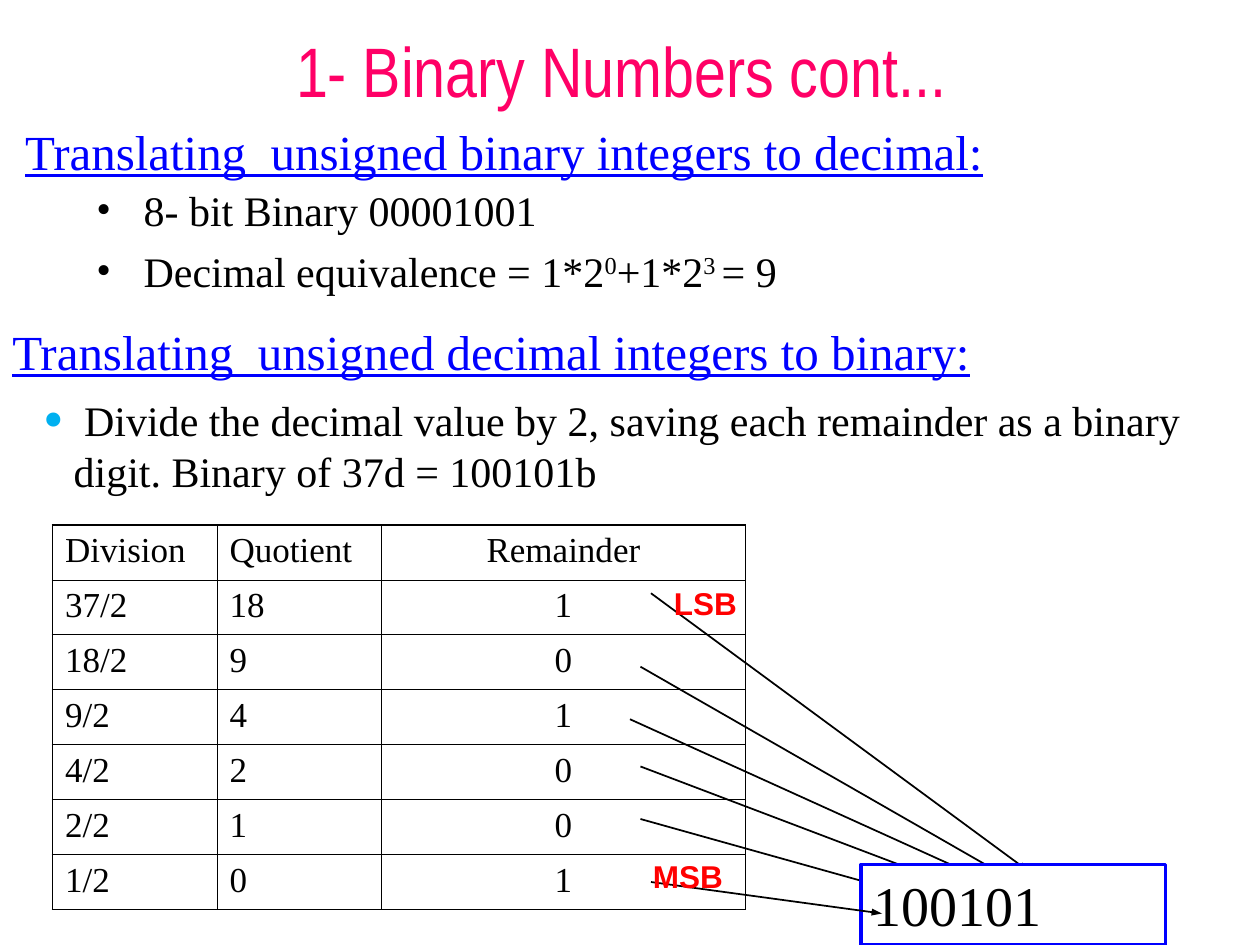
from lxml import etree
from pptx import Presentation
from pptx import util as u
from pptx.dml.color import RGBColor
from pptx.enum import shapes, text
from pptx.oxml.ns import qn

SERIF = "Times New Roman"
BLACK, BLUE, RED, WHITE = "000000", "0000FF", "FF0000", "FFFFFF"
ROWS = [
    ("Division", "Quotient", "Remainder"),
    ("37/2", "18", "1"),
    ("18/2", "9", "0"),
    ("9/2", "4", "1"),
    ("4/2", "2", "0"),
    ("2/2", "1", "0"),
    ("1/2", "0", "1"),
]
REMAINDER_LINES = [
    (366, 381, 570, 498),
    (372, 339, 588, 498),
    (366, 438, 540, 504),
    (366, 468, 516, 510),
    (360, 411, 552, 498),
]


def color(value):
    return RGBColor.from_string(value)


def points(*lengths):
    return [u.Pt(length) for length in lengths]


def format_runs(paragraph, size, value, font=SERIF, bold=False, underline=False):
    for run in paragraph.runs:
        run.font.size = u.Pt(size)
        run.font.name = font
        run.font.bold = bold
        run.font.underline = underline
        run.font.color.rgb = color(value)


def add_text(slide, box, content, size, value, anchor=text.MSO_ANCHOR.TOP,
             align=text.PP_ALIGN.LEFT, inset=7.2, **style):
    shape = slide.shapes.add_textbox(*points(*box))
    frame = shape.text_frame
    frame.word_wrap = True
    frame.vertical_anchor = anchor
    frame.margin_left = frame.margin_right = u.Pt(inset)
    frame.text = content
    for paragraph in frame.paragraphs:
        paragraph.alignment = align
        format_runs(paragraph, size, value, **style)
    return frame


def add_bit_label(slide, label, box):
    frame = add_text(slide, box, label, 18, RED, font="Arial", bold=True)
    frame.word_wrap = False
    frame.auto_size = text.MSO_AUTO_SIZE.SHAPE_TO_FIT_TEXT


def add_bullet(paragraph, indent, value, percent=100):
    properties = paragraph._p.get_or_add_pPr()
    properties.set("marL", str(u.Pt(indent)))
    properties.set("indent", str(u.Pt(-indent)))
    bullet_color = etree.SubElement(properties, qn("a:buClr"))
    etree.SubElement(bullet_color, qn("a:srgbClr"), val=value)
    etree.SubElement(properties, qn("a:buSzPct"), val=str(percent * 1000))
    etree.SubElement(properties, qn("a:buFont"), typeface=SERIF)
    etree.SubElement(properties, qn("a:buChar"), char="•")


def add_equation(paragraph, parts):
    for content, raised in parts:
        run = paragraph.add_run()
        run.text = content
        if raised:
            run._r.get_or_add_rPr().set("baseline", "30000")
    format_runs(paragraph, 24, BLACK)


def set_borders(cell, widths):
    properties = cell._tc.get_or_add_tcPr()
    for index, (side, width) in enumerate(widths.items()):
        line = etree.Element(qn(f"a:ln{side}"), w=str(u.Pt(width)))
        fill = etree.SubElement(line, qn("a:solidFill"))
        etree.SubElement(fill, qn("a:srgbClr"), val=BLACK)
        properties.insert(index, line)


def add_division_table(slide):
    widths = (94, 94, 208)
    height = 31.4
    last_row, last_column = len(ROWS) - 1, len(widths) - 1
    table = slide.shapes.add_table(
        len(ROWS), len(widths), *points(30, 300, sum(widths), height * len(ROWS))).table
    table.first_row = table.horz_banding = False
    for column, width in zip(table.columns, widths):
        column.width = u.Pt(width)
    for row_index, row in enumerate(ROWS):
        table.rows[row_index].height = u.Pt(height)
        for column_index, content in enumerate(row):
            cell = table.cell(row_index, column_index)
            cell.fill.background()
            cell.text = content
            paragraph = cell.text_frame.paragraphs[0]
            if column_index == last_column:
                paragraph.alignment = text.PP_ALIGN.CENTER
            format_runs(paragraph, 20, BLACK)
            outer = {"L": column_index == 0, "R": column_index == last_column,
                     "T": row_index == 0, "B": row_index == last_row}
            set_borders(cell, {side: 1.08 if edge else 0.45 for side, edge in outer.items()})


def add_arrow(slide, ends):
    arrow = slide.shapes.add_connector(shapes.MSO_CONNECTOR.STRAIGHT, *points(*ends))
    arrow.line.color.rgb = color(BLACK)
    arrow.line.width = u.Pt(1)
    etree.SubElement(arrow.line._get_or_add_ln(), qn("a:tailEnd"),
                     type="triangle", w="sm", len="med")
    etree.SubElement(arrow._element.spPr, qn("a:effectLst"))


def add_result_box(slide):
    shape = slide.shapes.add_shape(
        shapes.MSO_SHAPE.RECTANGLE, *points(492, 494, 174, 46))
    shape.shadow.inherit = False
    shape.fill.solid()
    shape.fill.fore_color.rgb = color(WHITE)
    shape.line.color.rgb = color(BLUE)
    shape.line.width = u.Pt(2)
    frame = shape.text_frame
    frame.vertical_anchor = text.MSO_ANCHOR.TOP
    frame.text = "100101"
    frame.paragraphs[0].alignment = text.PP_ALIGN.LEFT
    format_runs(frame.paragraphs[0], 32, BLACK)


def main():
    presentation = Presentation()
    presentation.slide_width, presentation.slide_height = points(720, 540)
    slide = presentation.slides.add_slide(presentation.slide_layouts[6])

    add_text(slide, (14.4, 52.4, 708, 54), "Translating  unsigned binary integers to decimal:",
             28, BLUE, anchor=text.MSO_ANCHOR.BOTTOM, inset=0, underline=True)
    example = add_text(slide, (48, 102, 648, 78), "8- bit Binary 00001001", 24, BLACK)
    equation = example.add_paragraph()
    equation.space_before = u.Pt(6)
    add_equation(equation, [("Decimal equivalence = 1*2", False), ("0", True),
                            ("+1*2", False), ("3 ", True), ("= 9", False)])
    for paragraph in example.paragraphs:
        add_bullet(paragraph, 27, BLACK)

    add_text(slide, (0, 180, 612, 41), "Translating  unsigned decimal integers to binary:",
             28, BLUE, underline=True)
    method = add_text(
        slide, (18, 222, 672, 94),
        " Divide the decimal value by 2, saving each remainder as a binary digit. "
        "Binary of 37d = 100101b", 24, BLACK)
    add_bullet(method.paragraphs[0], 17, "00B0F0", 140)

    add_division_table(slide)
    for ends in REMAINDER_LINES:
        add_arrow(slide, ends)
    add_result_box(slide)
    add_arrow(slide, (372, 504, 504, 522))
    add_bit_label(slide, "LSB", (378, 330, 51, 29))
    add_bit_label(slide, "MSB", (366, 486, 56, 29))
    add_text(slide, (31, 7.5, 648, 60), "1- Binary Numbers cont...", 40, "FF0066",
             anchor=text.MSO_ANCHOR.BOTTOM, align=text.PP_ALIGN.CENTER,
             inset=0, font="Arial Narrow")
    presentation.save("out.pptx")


if __name__ == "__main__":
    main()
